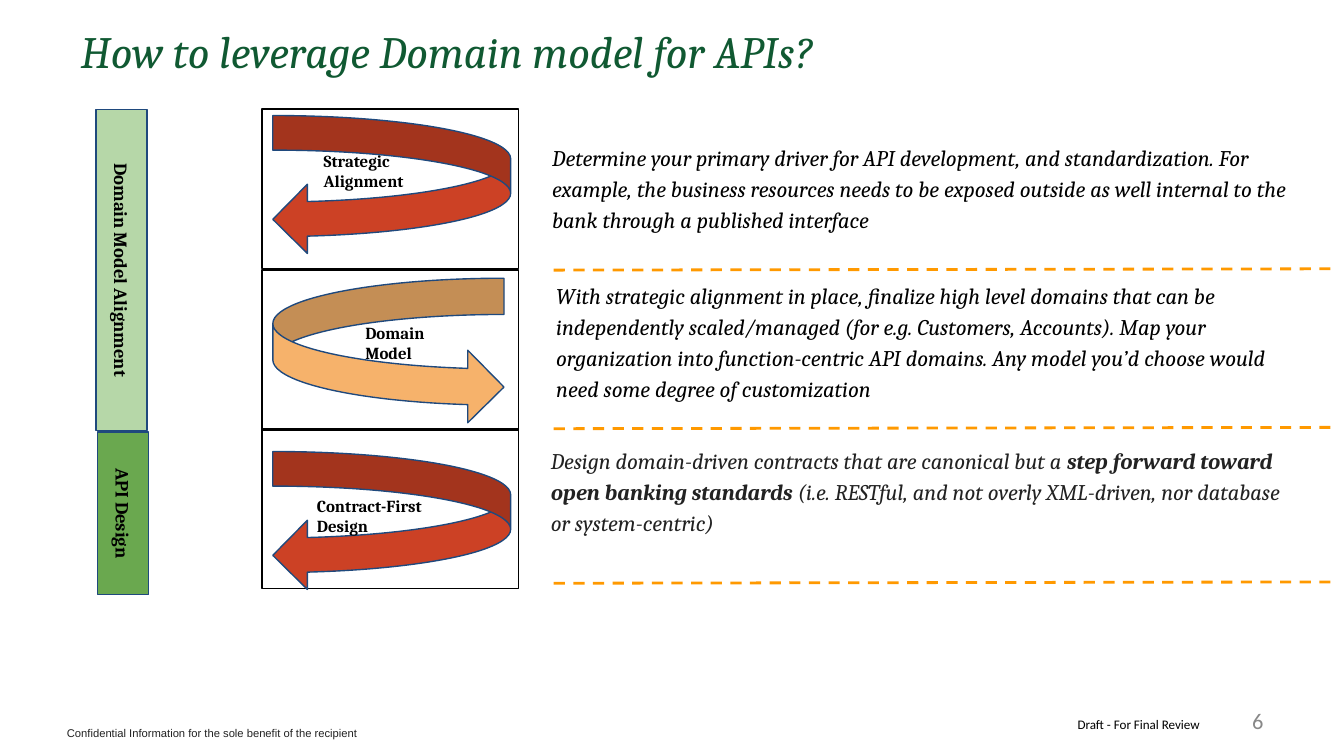
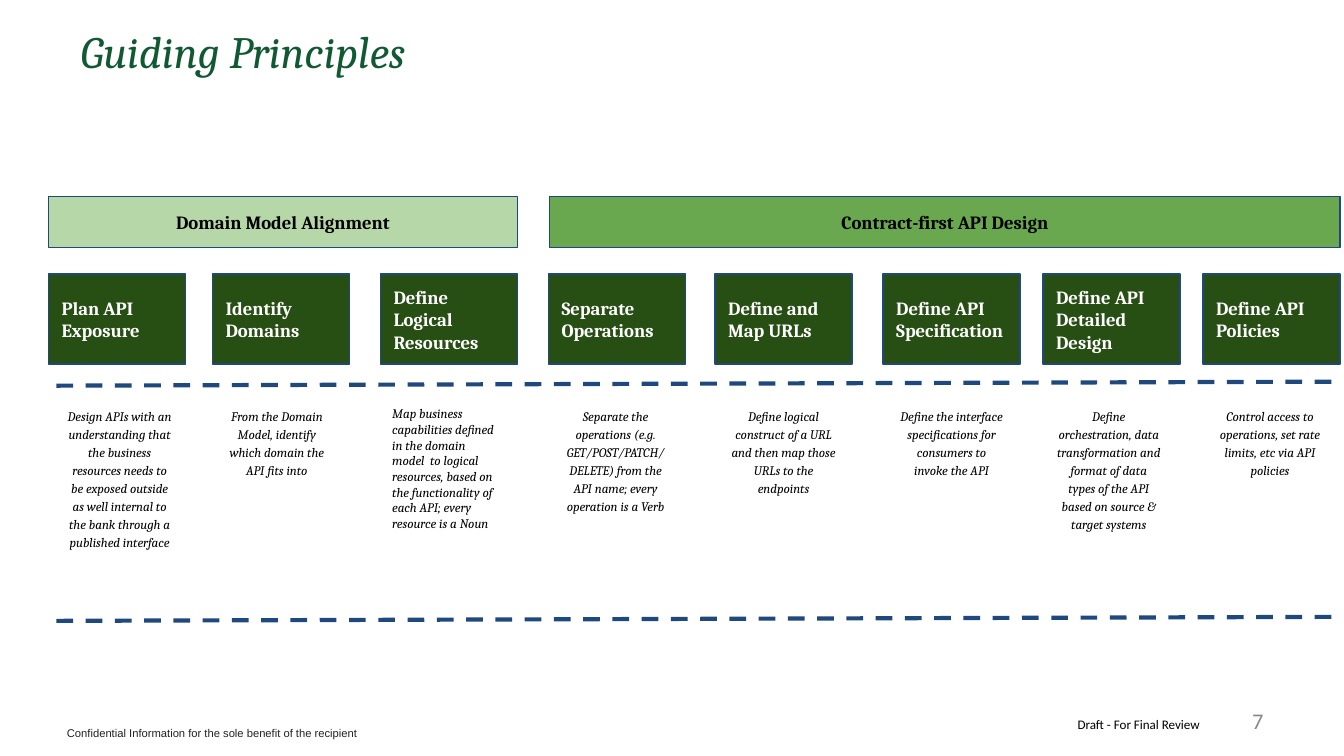
from lxml.etree import SubElement
from pptx import Presentation
from pptx.dml.color import RGBColor
from pptx.enum.dml import MSO_LINE
from pptx.enum.shapes import MSO_CONNECTOR, MSO_SHAPE
from pptx.enum.text import MSO_ANCHOR as ANCHOR, PP_ALIGN as ALIGN
from pptx.oxml.ns import qn
from pptx.util import Pt

PX = 9144
BLACK = RGBColor(0x00, 0x00, 0x00)
WHITE = RGBColor(0xFF, 0xFF, 0xFF)
INK = RGBColor(0x22, 0x22, 0x22)
GREY = RGBColor(0x88, 0x88, 0x88)
TITLE_GREEN = RGBColor(0x10, 0x59, 0x32)
LIGHT_GREEN = RGBColor(0xB6, 0xD7, 0xA8)
MID_GREEN = RGBColor(0x6A, 0xA8, 0x4F)
DARK_GREEN = RGBColor(0x27, 0x4E, 0x13)
NAVY = RGBColor(0x1F, 0x49, 0x7D)
ORANGE = RGBColor(0xFF, 0x99, 0x00)
RED = RGBColor(0xCC, 0x41, 0x25)
SAND = RGBColor(0xF6, 0xB2, 0x6B)
EVEN, SLIM, LOWERED = (10, 10), (5, 5), (14, 6)


def add_box(s, kind, at, fill=None, line=NAVY):
    sp = s.shapes.add_shape(kind, *[v * PX for v in at])
    sp.shadow.inherit = False
    if fill is None:
        sp.fill.background()
    else:
        sp.fill.solid()
        sp.fill.fore_color.rgb = fill
    sp.line.color.rgb = line
    sp.line.width = Pt(0.75)
    return sp


def write(sp, runs, size, color=BLACK, bold=False, italic=False, font="Cambria",
          align=ALIGN.LEFT, anchor=ANCHOR.TOP, spacing=None, pad=EVEN):
    tf = sp.text_frame
    tf.word_wrap = True
    tf.vertical_anchor = anchor
    tf.margin_left = tf.margin_right = 10 * PX
    tf.margin_top, tf.margin_bottom = [v * PX for v in pad]
    p = tf.paragraphs[0]
    p.alignment = align
    p.line_spacing = spacing
    for text, strong in [(runs, bold)] if isinstance(runs, str) else runs:
        r = p.add_run()
        r.text = text
        r.font.name = font
        r.font.size = Pt(size)
        r.font.color.rgb = color
        r.font.bold = strong
        r.font.italic = italic


prs = Presentation()
prs.slide_width = 1000 * PX
prs.slide_height = prs.slide_width * 9 // 16

titles = ["How to leverage Domain model for APIs?", "Guiding Principles"]
for number, title in enumerate(titles, 6):
    s = prs.slides.add_slide(prs.slide_layouts[5])
    sp = s.shapes.title
    sp.left, sp.top, sp.width, sp.height = [v * PX for v in (50, 19, 937, 38)]
    write(sp, title, 24, TITLE_GREEN, italic=True, anchor=ANCHOR.MIDDLE, pad=SLIM)
    sp = s.shapes.add_textbox(*[v * PX for v in (717, 521, 233, 30)])
    write(sp, str(number), 12, GREY, font="Calibri", align=ALIGN.RIGHT,
          anchor=ANCHOR.MIDDLE, pad=SLIM)
    sp = s.shapes.add_textbox(*[v * PX for v in (792, 523, 183, 30)])
    write(sp, "Draft - For Final Review", 7, font="Calibri", pad=LOWERED)
    sp = s.shapes.add_textbox(*[v * PX for v in (40, 531, 284, 22)])
    write(sp, "Confidential Information for the sole benefit of the recipient", 6, INK,
          font="Arial", pad=LOWERED)

steps_slide, principles_slide = prs.slides

s = steps_slide
phases = [
    ("Domain Model Alignment", (-29, 182, 239, 38), LIGHT_GREEN),
    ("API Design", (31, 363, 121, 38), MID_GREEN),
]
for name, at, fill in phases:
    sp = add_box(s, MSO_SHAPE.RECTANGLE, at, fill)
    sp.rotation = 90
    write(sp, name, 10, bold=True, align=ALIGN.CENTER, anchor=ANCHOR.MIDDLE)

for top in (81, 201, 319):
    add_box(s, MSO_SHAPE.RECTANGLE, (195, top, 191, 119), line=BLACK)

steps = [
    ("Strategic Alignment", (231, 105, 94, 13), LOWERED,
     MSO_SHAPE.CURVED_LEFT_ARROW, (203, 86, 177, 103), RED),
    ("Domain Model", (262, 230, 78, 22), EVEN,
     MSO_SHAPE.CURVED_RIGHT_ARROW, (203, 207, 172, 108), SAND),
    ("Contract-First Design", (226, 359, 115, 22), EVEN,
     MSO_SHAPE.CURVED_LEFT_ARROW, (203, 336, 177, 103), RED),
]
for name, label_at, pad, arrow, arrow_at, fill in steps:
    add_box(s, arrow, arrow_at, fill)
    sp = s.shapes.add_textbox(*[v * PX for v in label_at])
    write(sp, name, 9, bold=True, pad=pad)

details = [
    ((401, 79, 599, 119), ANCHOR.MIDDLE, BLACK,
     "Determine your primary driver for API development, and standardization. For example, "
     "the business resources needs to be exposed outside as well internal to the bank "
     "through a published interface"),
    ((404, 197, 583, 103), ANCHOR.TOP, BLACK,
     "With strategic alignment in place, finalize high level domains that can be "
     "independently scaled/managed (for e.g. Customers, Accounts). Map your organization "
     "into function-centric API domains. Any model you’d choose would need some degree of "
     "customization"),
    ((400, 320, 570, 78), ANCHOR.TOP, INK,
     [("Design domain-driven contracts that are canonical but a ", False),
      ("step forward toward open banking standards", True),
      (" (i.e. RESTful, and not overly XML-driven, nor database or system-centric)", False)]),
]
for at, anchor, color, runs in details:
    sp = s.shapes.add_textbox(*[v * PX for v in at])
    write(sp, runs, 12, color, italic=True, anchor=anchor, spacing=1.15)

s = principles_slide
bands = [
    ("Domain Model Alignment", 36, 349, LIGHT_GREEN),
    ("Contract-first API Design", 409, 588, MID_GREEN),
]
for name, left, width, fill in bands:
    sp = add_box(s, MSO_SHAPE.RECTANGLE, (left, 146, width, 38), fill)
    write(sp, name, 10, bold=True, align=ALIGN.CENTER, anchor=ANCHOR.MIDDLE)

principles = [
    (36, 40, "Plan API Exposure",
     "Design APIs with an understanding that the business resources needs to be exposed "
     "outside as well internal to the bank through a published interface"),
    (158, 157, "Identify Domains",
     "From the Domain Model, identify which domain the API fits into"),
    (283, 282, "Define Logical Resources",
     "Map business capabilities defined in the domain model  to logical resources, based on "
     "the functionality of each API; every resource is a Noun"),
    (408, 409, "Separate Operations",
     "Separate the operations (e.g. GET/POST/PATCH/DELETE) from the API name; every "
     "operation is a Verb"),
    (532, 534, "Define and Map URLs",
     "Define logical construct of a URL and then map those URLs to the endpoints"),
    (657, 659, "Define API Specification",
     "Define the interface specifications for consumers to invoke the API"),
    (776, 776, "Define API Detailed Design",
     "Define orchestration, data transformation and format of data types of the API based "
     "on source & target systems"),
    (895, 896, "Define API Policies",
     "Control access to operations, set rate limits, etc via API policies"),
]
for box_left, text_left, name, text in principles:
    sp = add_box(s, MSO_SHAPE.RECTANGLE, (box_left, 204, 102, 67), DARK_GREEN)
    write(sp, name, 10, WHITE, bold=True, anchor=ANCHOR.MIDDLE)
    height = 143 if name == "Define API Detailed Design" else 109
    sp = s.shapes.add_textbox(*[v * PX for v in (text_left, 292, 98, height)])
    if name == "Define Logical Resources":
        write(sp, text, 7, italic=True)
    else:
        write(sp, text, 7, italic=True, align=ALIGN.CENTER, spacing=1.15)

dividers = [
    (steps_slide, 412, (201, 319, 434), 1, ORANGE, 1.5),
    (principles_slide, 42, (287, 462), 3, NAVY, 2.25),
]
for s, left, tops, rise, color, weight in dividers:
    for top in tops:
        ends = [v * PX for v in (left, top, 995, top - rise)]
        sp = s.shapes.add_connector(MSO_CONNECTOR.STRAIGHT, *ends)
        sp.line.color.rgb = color
        sp.line.width = Pt(weight)
        sp.line.dash_style = MSO_LINE.DASH
        SubElement(sp.element.spPr, qn("a:effectLst"))

prs.save("out.pptx")
